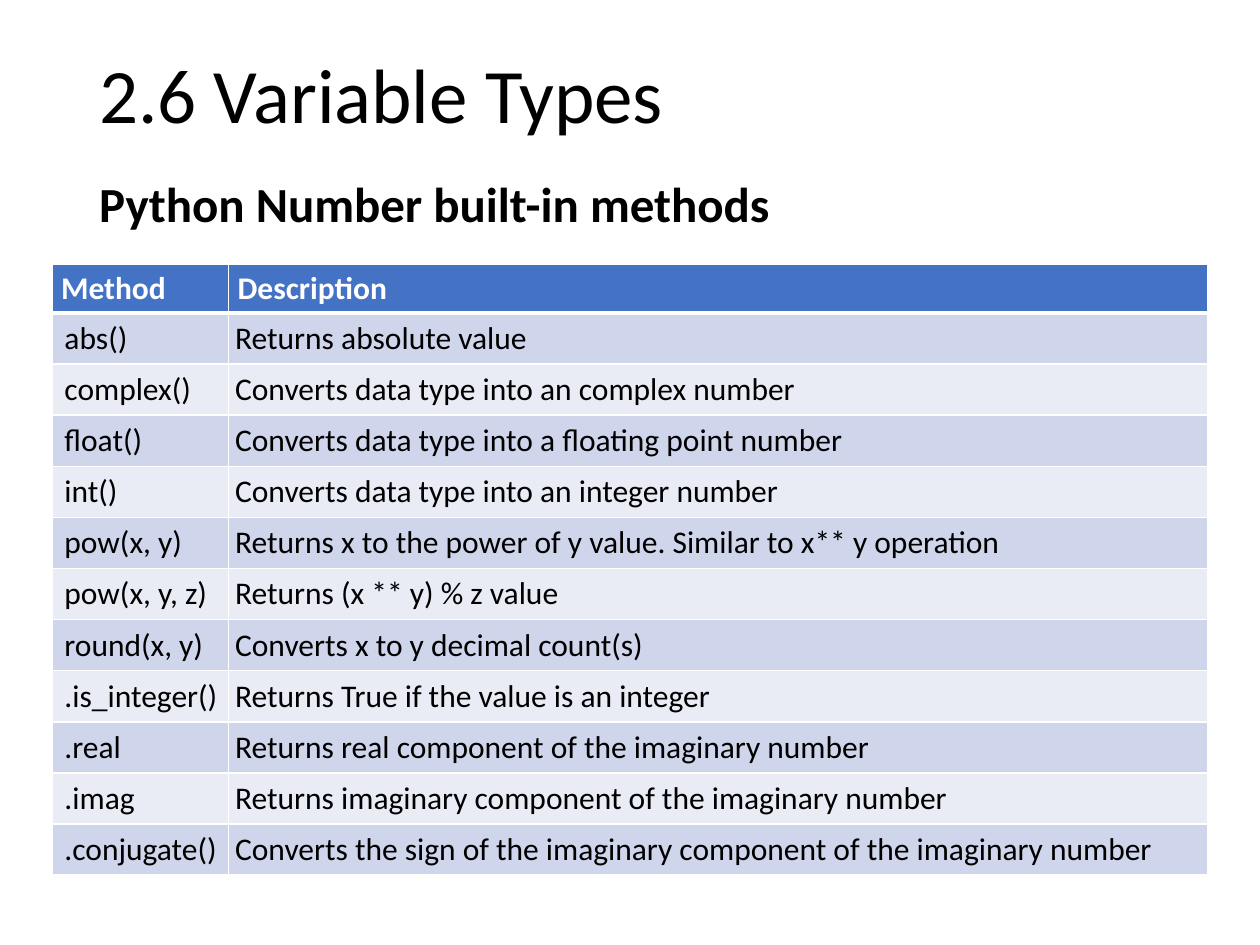
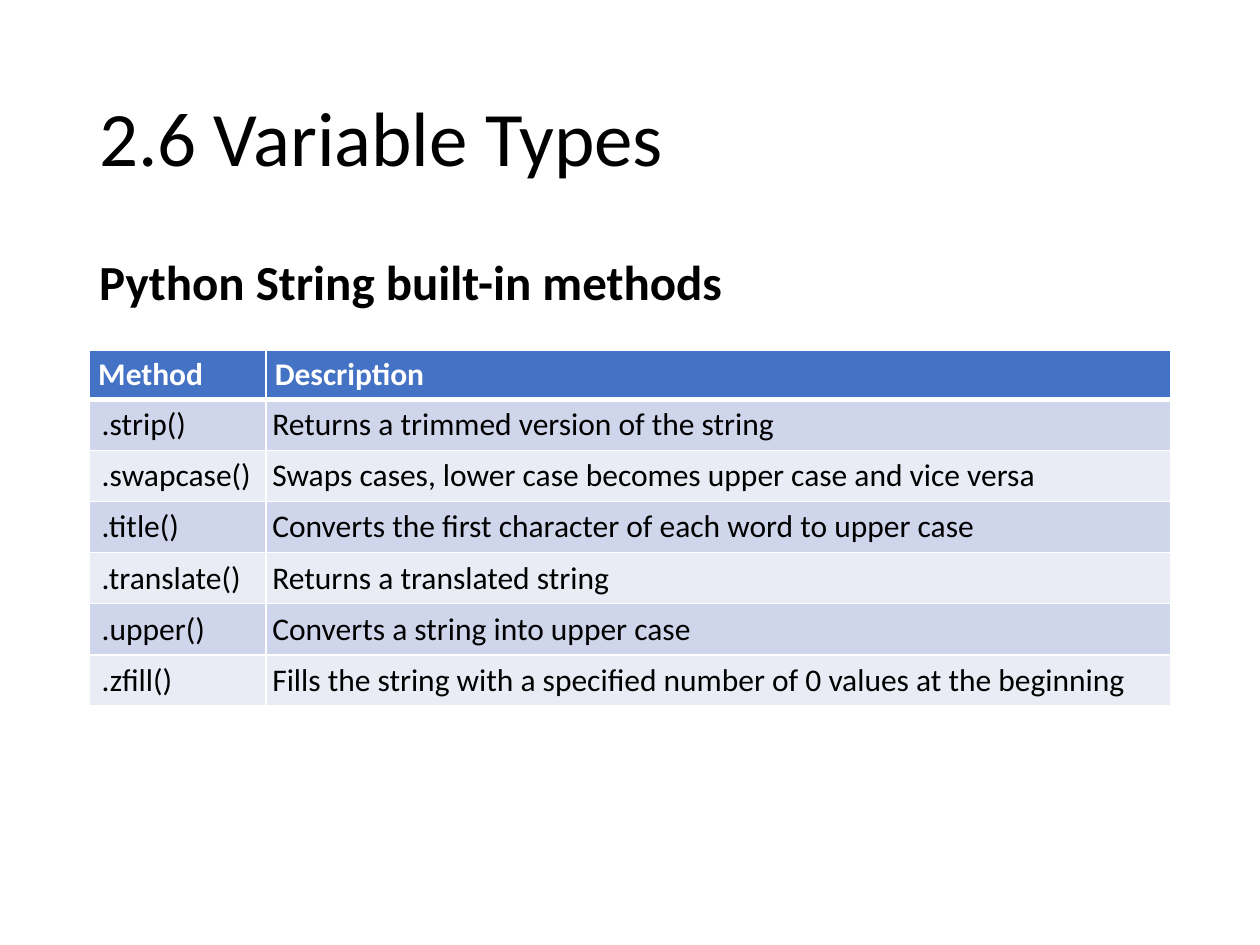
from lxml import etree
from pptx import Presentation
from pptx.dml.color import RGBColor
from pptx.enum.text import MSO_ANCHOR
from pptx.oxml.ns import qn
from pptx.util import Cm, Pt

TOP, MIDDLE = MSO_ANCHOR.TOP, MSO_ANCHOR.MIDDLE

BLACK = RGBColor(0x00, 0x00, 0x00)
WHITE = RGBColor(0xFF, 0xFF, 0xFF)
HEADER_BLUE = RGBColor(0x44, 0x72, 0xC4)
BANDS = (RGBColor(0xCF, 0xD5, 0xEA), RGBColor(0xE9, 0xEB, 0xF5))

FONT = "Calibri"
TITLE = "2.6 Variable Types"
HEADINGS = ("Method", "Description")
SLIDE_WIDTH, SLIDE_HEIGHT = 25.4, 19.05
TEXT_LEFT, TEXT_WIDTH = 1.75, 21.9
TITLE_HEIGHT = 3.68
METHOD_WIDTH = 3.56
HEADER_HEIGHT, ROW_HEIGHT = 0.98, 1.03
THIN, THICK = Pt(1), Pt(3)

# Cell margins in cm: left, top, right, bottom
HEADER_MARGINS = (0.18, 0.1, 0.18, 0.1)
METHOD_MARGINS = (0.25, 0.13, 0.13, 0.13)
DESCRIPTION_MARGINS = (0.13, 0.13, 0.13, 0.13)

NUMBER_METHODS = (
    ("abs()", "Returns absolute value"),
    ("complex()", "Converts data type into an complex number"),
    ("float()", "Converts data type into a floating point number"),
    ("int()", "Converts data type into an integer number"),
    ("pow(x, y)", "Returns x to the power of y value. Similar to x** y operation"),
    ("pow(x, y, z)", "Returns (x ** y) % z value"),
    ("round(x, y)", "Converts x to y decimal count(s)"),
    (".is_integer()", "Returns True if the value is an integer"),
    (".real", "Returns real component of the imaginary number"),
    (".imag", "Returns imaginary component of the imaginary number"),
    (".conjugate()", "Converts the sign of the imaginary component of the imaginary number"),
)

STRING_METHODS = (
    (".strip()", "Returns a trimmed version of the string"),
    (".swapcase()", "Swaps cases, lower case becomes upper case and vice versa"),
    (".title()", "Converts the first character of each word to upper case"),
    (".translate()", "Returns a translated string"),
    (".upper()", "Converts a string into upper case"),
    (".zfill()", "Fills the string with a specified number of 0 values at the beginning"),
)


class Deck:
    """Holds the shared style and the current slide."""

    def __init__(self):
        self.presentation = Presentation()
        self.presentation.slide_width = Cm(SLIDE_WIDTH)
        self.presentation.slide_height = Cm(SLIDE_HEIGHT)
        self.slide = None

    def add_slide(self):
        self.slide = self.presentation.slides.add_slide(self.presentation.slide_layouts[6])

    def add_run(self, paragraph, text, size, color=BLACK, bold=False):
        run = paragraph.add_run()
        run.text = text
        run.font.name = FONT
        run.font.size = Pt(size)
        run.font.bold = bold
        run.font.color.rgb = color

    def add_text(self, text, top, height, size, anchor=TOP, bold=False):
        shape = self.slide.shapes.add_textbox(
            Cm(TEXT_LEFT), Cm(top), Cm(TEXT_WIDTH), Cm(height))
        shape.text_frame.word_wrap = True
        shape.text_frame.vertical_anchor = anchor
        paragraph = shape.text_frame.paragraphs[0]
        paragraph.line_spacing = 0.9
        self.add_run(paragraph, text, size, bold=bold)

    def add_title(self, top):
        self.add_text(TITLE, top, TITLE_HEIGHT, 44, anchor=MIDDLE)

    def add_subtitle(self, text, top, height):
        self.add_text(text, top, height, 28, bold=True)

    def set_borders(self, cell, top, bottom):
        """Draw white lines around a cell; call before setting its fill."""
        properties = cell._tc.get_or_add_tcPr()
        for tag, width in (("lnL", THIN), ("lnR", THIN), ("lnT", top), ("lnB", bottom)):
            line = etree.SubElement(properties, qn("a:" + tag), w=str(width))
            fill = etree.SubElement(line, qn("a:solidFill"))
            etree.SubElement(fill, qn("a:srgbClr"), val=str(WHITE))

    def fill_cell(self, cell, text, row_index, margins):
        is_header = row_index == 0
        cell.margin_left, cell.margin_top, cell.margin_right, cell.margin_bottom = map(Cm, margins)
        self.set_borders(cell, top=THICK if row_index == 1 else THIN,
                         bottom=THICK if is_header else THIN)
        cell.fill.solid()
        cell.fill.fore_color.rgb = HEADER_BLUE if is_header else BANDS[(row_index - 1) % 2]
        self.add_run(cell.text_frame.paragraphs[0], text, 18,
                     WHITE if is_header else BLACK, bold=is_header)

    def add_method_table(self, methods, top, width):
        """Add a table of methods, centred across the slide."""
        height = HEADER_HEIGHT + ROW_HEIGHT * len(methods)
        table = self.slide.shapes.add_table(
            len(methods) + 1, 2, Cm((SLIDE_WIDTH - width) / 2), Cm(top),
            Cm(width), Cm(height)).table
        table.horz_banding = False
        table.columns[0].width = Cm(METHOD_WIDTH)
        table.columns[1].width = Cm(width - METHOD_WIDTH)
        for row_index, texts in enumerate((HEADINGS, *methods)):
            is_header = row_index == 0
            table.rows[row_index].height = Cm(HEADER_HEIGHT if is_header else ROW_HEIGHT)
            row_margins = ((HEADER_MARGINS, HEADER_MARGINS) if is_header
                           else (METHOD_MARGINS, DESCRIPTION_MARGINS))
            for column, (text, margins) in enumerate(zip(texts, row_margins)):
                self.fill_cell(table.cell(row_index, column), text, row_index, margins)


def main():
    deck = Deck()

    # Number methods
    deck.add_slide()
    deck.add_title(top=0.15)
    deck.add_subtitle("Python Number built-in methods", top=3.5, height=4.93)
    deck.add_method_table(NUMBER_METHODS, top=5.33, width=23.3)

    # String methods
    deck.add_slide()
    deck.add_title(top=1.02)
    deck.add_subtitle("Python String built-in methods", top=5.08, height=12.09)
    deck.add_method_table(STRING_METHODS, top=7.07, width=21.8)

    deck.presentation.save("out.pptx")


if __name__ == "__main__":
    main()
